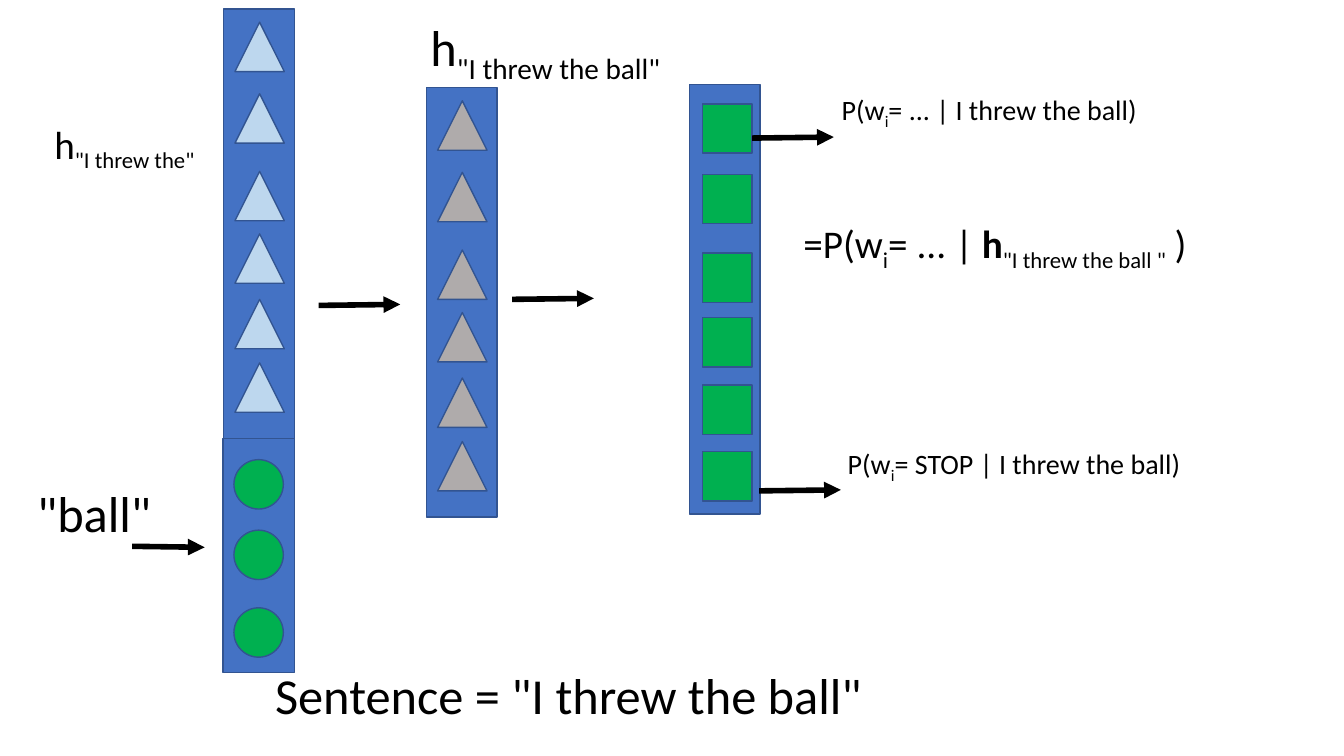
from typing import NamedTuple

import lxml.etree
import pptx
import pptx.dml.color
import pptx.enum.shapes
import pptx.enum.text
import pptx.oxml.ns
import pptx.shapes.base
import pptx.slide
import pptx.util

PX = 9144  # EMU in one px, at 100 px to the inch
MARK = 49
FONT = "Calibri"
BLUE = pptx.dml.color.RGBColor(0x44, 0x72, 0xC4)
EDGE = pptx.dml.color.RGBColor(0x32, 0x54, 0x91)
GREEN = pptx.dml.color.RGBColor(0x00, 0xB0, 0x50)
GRAY = pptx.dml.color.RGBColor(0xAF, 0xAB, 0xAB)
PALE = pptx.dml.color.RGBColor(0xBD, 0xD7, 0xEE)
BLACK = pptx.dml.color.RGBColor(0x00, 0x00, 0x00)
KIND = pptx.enum.shapes.MSO_SHAPE


class Box(NamedTuple):
    left: int
    top: int
    width: int
    height: int


class Vector(NamedTuple):
    """A frame with a column of equal marks; steps run down from its top."""
    frame: Box
    kind: pptx.enum.shapes.MSO_SHAPE
    fill: pptx.dml.color.RGBColor
    inset: int
    steps: tuple[int, ...]


class Arrow(NamedTuple):
    left: int
    top: int
    width: int = 81
    rise: int = -1


class Run(NamedTuple):
    text: str
    sub: bool = False
    bold: bool = False


class Label(NamedTuple):
    box: Box
    size: int
    runs: tuple[Run, ...]
    wrap: bool = False


HIDDEN = (13, 84, 161, 223, 288, 351)
VECTORS = (
    Vector(Box(221, 435, 71, 232), KIND.OVAL, GREEN, 11, (21, 91, 168)),
    Vector(Box(222, 9, 70, 426), KIND.ISOSCELES_TRIANGLE, PALE, 11, HIDDEN),
    Vector(Box(423, 87, 70, 426), KIND.ISOSCELES_TRIANGLE, GRAY, 11, HIDDEN),
    Vector(Box(684, 84, 70, 426), KIND.RECTANGLE, GREEN, 13,
           (19, 89, 167, 231, 298, 364)),
)
ARROWS = (
    Arrow(131, 542, width=72, rise=1),
    Arrow(316, 303),
    Arrow(508, 297),
    Arrow(746, 137),
    Arrow(753, 487),
)
INDEX = Run("i", sub=True)
LABELS = (
    Label(Box(27, 473, 134, 71), 36, (Run('"ball"'),)),
    Label(Box(263, 654, 607, 71), 36, (Run('Sentence = "I threw the ball"'),)),
    Label(Box(44, 114, 179, 57), 28,
          (Run("h"), Run('"I threw the"', sub=True))),
    Label(Box(417, 11, 281, 71), 36,
          (Run("h"), Run('"I threw the ball"', sub=True))),
    Label(Box(825, 87, 370, 44), 20,
          (Run("P(w"), INDEX, Run("= ... | I threw the ball)")), wrap=True),
    Label(Box(831, 438, 370, 44), 20,
          (Run("P(w"), INDEX, Run("= STOP | I threw the ball)")), wrap=True),
    Label(Box(787, 213, 427, 57), 28,
          (Run("=P(w"), INDEX, Run("= ... | "), Run("h", bold=True),
           Run('"I threw the ball "', sub=True), Run(" )")), wrap=True),
)


def scale(*sizes: int) -> list[pptx.util.Emu]:
    return [pptx.util.Emu(size * PX) for size in sizes]


def paint(shape: pptx.shapes.base.BaseShape,
          fill: pptx.dml.color.RGBColor) -> None:
    shape.shadow.inherit = False
    shape.fill.solid()
    shape.fill.fore_color.rgb = fill
    shape.line.color.rgb = EDGE
    shape.line.width = pptx.util.Pt(1)


def draw_vector(slide: pptx.slide.Slide, vector: Vector) -> None:
    group = slide.shapes.add_group_shape().shapes
    frame = vector.frame
    paint(group.add_shape(KIND.RECTANGLE, *scale(*frame)), BLUE)
    for step in vector.steps:
        spot = Box(frame.left + vector.inset, frame.top + step, MARK, MARK)
        paint(group.add_shape(vector.kind, *scale(*spot)), vector.fill)


def draw_arrow(slide: pptx.slide.Slide, arrow: Arrow) -> None:
    ends = scale(arrow.left, arrow.top,
                 arrow.left + arrow.width, arrow.top + arrow.rise)
    line = slide.shapes.add_connector(
        pptx.enum.shapes.MSO_CONNECTOR.STRAIGHT, *ends)
    line.line.color.rgb = BLACK
    line.line.width = pptx.util.Pt(4)
    qn = pptx.oxml.ns.qn
    props = line.element.spPr
    lxml.etree.SubElement(props.find(qn("a:ln")), qn("a:tailEnd"),
                          type="triangle")
    lxml.etree.SubElement(props, qn("a:effectLst"))


def add_text(slide: pptx.slide.Slide, box: Box, runs: tuple[Run, ...], *,
             size: int, wrap: bool = False) -> None:
    frame = slide.shapes.add_textbox(*scale(*box)).text_frame
    frame.word_wrap = wrap
    frame.auto_size = pptx.enum.text.MSO_AUTO_SIZE.SHAPE_TO_FIT_TEXT
    for part in runs:
        run = frame.paragraphs[0].add_run()
        run.text = part.text
        run.font.name = FONT
        run.font.size = pptx.util.Pt(size)
        run.font.bold = part.bold
        run.font.color.rgb = BLACK
        if part.sub:
            run.font._element.set("baseline", "-25000")


def main() -> None:
    deck = pptx.Presentation()
    deck.slide_width, deck.slide_height = scale(1333, 750)
    slide = deck.slides.add_slide(deck.slide_layouts.get_by_name("Blank"))
    for vector in VECTORS:
        draw_vector(slide, vector)
    for arrow in ARROWS:
        draw_arrow(slide, arrow)
    for label in LABELS:
        add_text(slide, label.box, label.runs,
                 size=label.size, wrap=label.wrap)
    deck.save("out.pptx")


if __name__ == "__main__":
    main()
